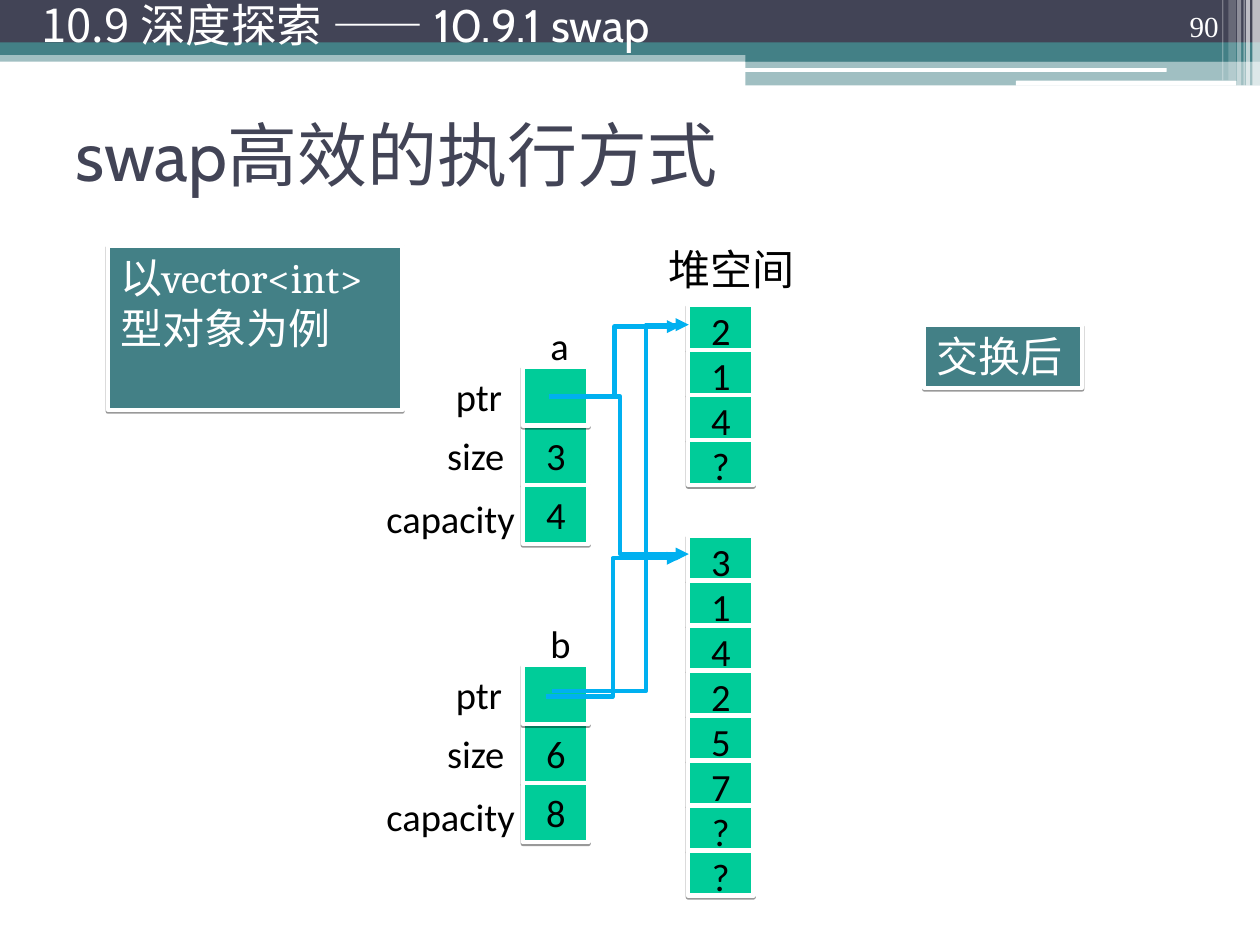
from lxml import etree
from pptx import Presentation
from pptx.dml.color import RGBColor
from pptx.enum.shapes import MSO_CONNECTOR, MSO_SHAPE
from pptx.enum.text import MSO_ANCHOR, MSO_AUTO_SIZE, PP_ALIGN
from pptx.oxml.ns import qn
from pptx.util import Pt

RECT, ROUND = MSO_SHAPE.RECTANGLE, MSO_SHAPE.ROUNDED_RECTANGLE
ELBOW = MSO_CONNECTOR.ELBOW
TOP, MID, LOW = MSO_ANCHOR.TOP, MSO_ANCHOR.MIDDLE, MSO_ANCHOR.BOTTOM
LEFT, MIDDLE, RIGHT, JUST = PP_ALIGN.LEFT, PP_ALIGN.CENTER, PP_ALIGN.RIGHT, PP_ALIGN.JUSTIFY

COLORS = {"navy": "424456", "teal": "438086", "green": "00CC99",
          "blue": "00B0F0", "white": "FFFFFF", "black": "000000"}

# left, top, width, height, colour, opacity in percent, shape
BANDS = [
    (0, 28.8, 720, 6.5, "teal", 50, RECT),
    (0, 0, 720, 24.5, "navy", 100, RECT),
    (0, 24.2, 720, 7.2, "teal", 100, RECT),
    (426, 28, 294, 7.2, "teal", 100, RECT),
    (426, 34.6, 294, 14.2, "teal", 50, RECT),
    (425.5, 38.9, 241.2, 2.2, "white", 100, ROUND),
    (580.5, 46.1, 126, 2.9, "white", 100, ROUND),
]
# left, width, height, opacity in percent
STRIPES = [(715.6, 4.4, 49, 65), (712, 2.2, 49, 65), (710.6, 0.7, 49, 60),
           (707, 2.2, 49, 40), (702, 4.3, 46, 20), (698.4, 0.7, 46, 30)]

TITLE = "swap高效的执行方式"
NUMBER = "90"
HEADING = [("10.9 深度探索 ", "Noto Sans CJK JP"), ("—— 10.9.1 swap", "Cabin")]
HEAP = "堆空间"

# name, top, values of ptr, size and capacity
OBJECTS = [("a", 209.5, ("", "3", "4")), ("b", 380, ("", "6", "8"))]
# label, left, width, offset from the top of the object
FIELDS = [("ptr", 253.4, 62.6, 0), ("size", 248.4, 62.6, 33.8),
          ("capacity", 213.8, 91.4, 69.8)]
OBJ_X, OBJ_STEP = 298.8, 33.75
BLOCKS = [(174.2, "214?"), (306, "314257??")]
HEAP_X, HEAP_STEP = 393.1, 25.73
CELL_W = 37.6

# start x, start y, end x, end y, place of the bend
ARROWS = [(313.8, 226.6, 388.5, 186.7, 0.5), (311.8, 398, 388.5, 319, 0.5),
          (315.2, 394.8, 393.6, 185.6, 0.69), (315.2, 226.6, 393.6, 316.6, 0.5)]
# text, left, top, width, height
NOTES = [("交换后", 528.2, 185.6, 90.2, 36),
         ("以vector<int>型对象为例", 61.6, 140.4, 168.4, 93.8)]


def rgb(name):
    return RGBColor.from_string(COLORS[name])


def write(shape, text, size=22, font="Calibri", color="black", align=LEFT,
          anchor=TOP, pad=3.6, space=None):
    """Fill a shape with one paragraph; text is a string or (text, font) runs."""
    frame = shape.text_frame
    frame.word_wrap = True
    frame.auto_size = MSO_AUTO_SIZE.NONE
    frame.vertical_anchor = anchor
    frame.margin_left = frame.margin_right = Pt(7.2)
    frame.margin_top = frame.margin_bottom = Pt(pad)
    para = frame.paragraphs[0]
    para.alignment = align
    if space:
        para.line_spacing = space
    for words, face in [(text, font)] if isinstance(text, str) else text:
        run = para.add_run()
        run.text = words
        run.font.size = Pt(size)
        run.font.name = face
        run.font.color.rgb = rgb(color)


def label(slide, text, box, **style):
    write(slide.shapes.add_textbox(*map(Pt, box)), text, **style)


def block(slide, box, fill, kind=RECT, alpha=100):
    shape = slide.shapes.add_shape(kind, *map(Pt, box))
    shape.shadow.inherit = False
    shape.fill.solid()
    shape.fill.fore_color.rgb = rgb(fill)
    shape.line.fill.background()
    if alpha < 100:
        props = shape._element.spPr
        tint = props.find(qn("a:solidFill"))[0]
        etree.SubElement(tint, qn("a:alpha"), val=str(alpha * 1000))
    return shape


def card(slide, box, fill, text, **style):
    """Draw a white-edged box with a thin shadow below it."""
    shape = block(slide, box, fill)
    shape.line.color.rgb = rgb("white")
    shape.line.width = Pt(2.5)
    effects = shape._element.spPr.find(qn("a:effectLst"))
    shadow = etree.SubElement(effects, qn("a:outerShdw"), blurRad="0",
                              dist=str(Pt(1)), dir="5400000", rotWithShape="0")
    tint = etree.SubElement(shadow, qn("a:srgbClr"), val=COLORS["black"])
    etree.SubElement(tint, qn("a:alpha"), val="40000")
    if text:
        write(shape, text, **style)


def arrow(slide, x1, y1, x2, y2, bend):
    link = slide.shapes.add_connector(ELBOW, Pt(x1), Pt(y1), Pt(x2), Pt(y2))
    link.line.color.rgb = rgb("blue")
    link.line.width = Pt(2.5)
    props = link._element.spPr
    etree.SubElement(props.find(qn("a:ln")), qn("a:tailEnd"), type="triangle")
    etree.SubElement(props, qn("a:effectLst"))
    guides = props.find(qn("a:prstGeom")).find(qn("a:avLst"))
    etree.SubElement(guides, qn("a:gd"), name="adj1", fmla=f"val {round(bend * 100000)}")


def header(slide):
    for *box, fill, alpha, kind in BANDS:
        block(slide, box, fill, kind, alpha)
    for left, width, height, alpha in STRIPES:
        block(slide, (left, 0, width, height), "white", alpha=alpha)
    title = slide.shapes.title
    title.left, title.top, title.width, title.height = map(Pt, (36, 45.4, 648, 84.2))
    write(title, TITLE, size=40, font="Cabin", color="navy", anchor=MID)
    label(slide, NUMBER, (643.7, 0, 59.8, 28.8), size=16.6, font="Times New Roman",
          color="white", align=RIGHT, anchor=LOW, space=0.9)
    label(slide, HEADING, (16.6, 0, 607.7, 33.8), size=26, color="white",
          anchor=MID, space=0.8)


def diagram(slide):
    label(slide, HEAP, (375.1, 135.4, 103, 36.7), size=24, align=JUST)
    for top, values in BLOCKS:
        for row, value in enumerate(values):
            card(slide, (HEAP_X, top + row * HEAP_STEP, CELL_W, HEAP_STEP),
                 "green", value, align=MIDDLE, pad=1.44)
    for name, top, values in OBJECTS:
        label(slide, name, (307.4, top - 29, 41, 36.7), align=JUST)
        for row in (1, 2, 0):  # ptr last, so its shadow lies over size
            card(slide, (OBJ_X, top + row * OBJ_STEP, CELL_W, OBJ_STEP),
                 "green", values[row], align=MIDDLE)
        for text, left, width, drop in FIELDS:
            label(slide, text, (left, top + drop, width, 36.7), align=JUST)
    for ends in ARROWS:
        arrow(slide, *ends)
    for text, *box in NOTES:
        card(slide, box, "teal", text, size=24, font="Cambria", color="white")


def main():
    deck = Presentation()
    deck.slide_width, deck.slide_height = Pt(720), Pt(540)
    slide = deck.slides.add_slide(deck.slide_layouts[5])
    header(slide)
    diagram(slide)
    deck.save("out.pptx")


if __name__ == "__main__":
    main()
